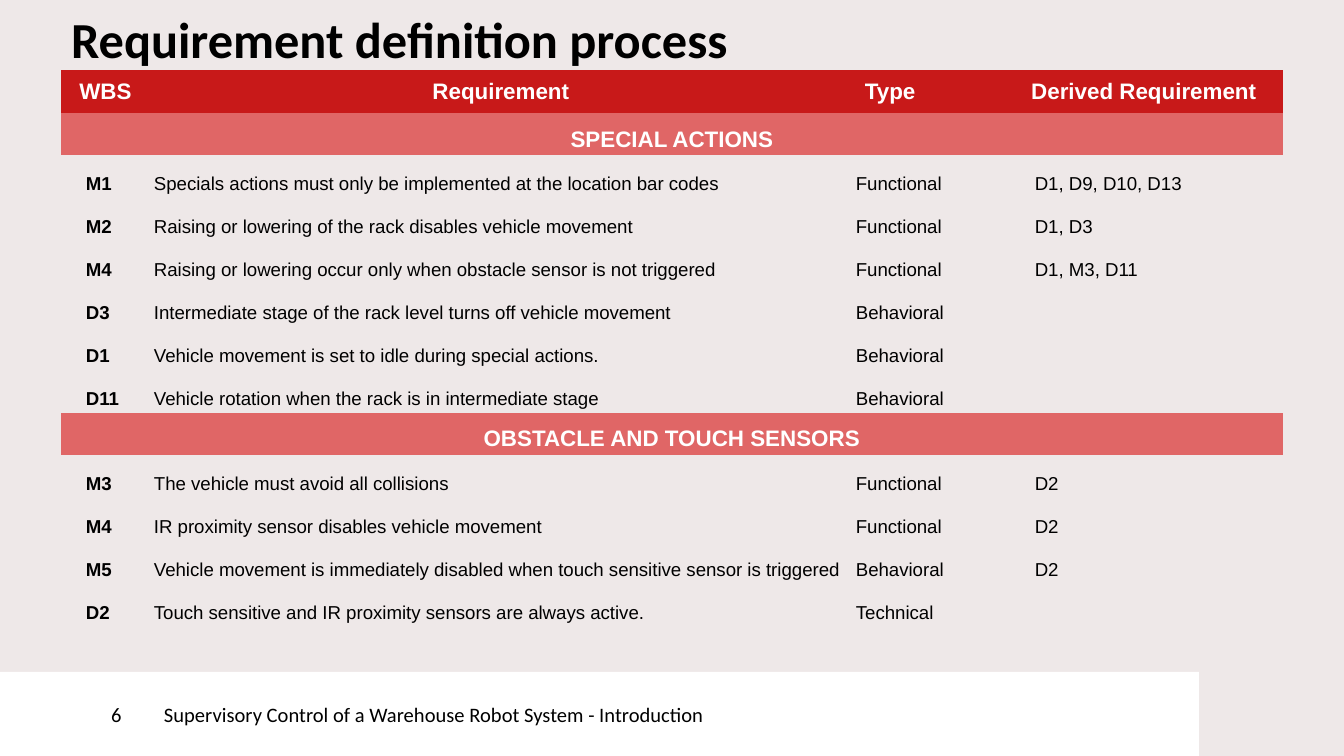
"""Builds the requirement definition slide with its table and footer."""
from lxml import etree
from pptx import Presentation
from pptx.dml.color import RGBColor
from pptx.enum.shapes import MSO_SHAPE
from pptx.enum.text import MSO_ANCHOR, PP_ALIGN
from pptx.oxml.ns import qn
from pptx.util import Emu, Pt

RECTANGLE = MSO_SHAPE.RECTANGLE
LEFT, CENTER = PP_ALIGN.LEFT, PP_ALIGN.CENTER
TOP, MIDDLE, BOTTOM = MSO_ANCHOR.TOP, MSO_ANCHOR.MIDDLE, MSO_ANCHOR.BOTTOM
NO_GRID_STYLE = "{2D5ABB26-0587-4C30-8999-92F81FD0307C}"
EMU_PER_PX = 914400 / 134.4

HEADINGS = [("WBS", CENTER), ("Requirement", CENTER), ("Type", LEFT), ("Derived Requirement", CENTER)]
SECTIONS = {
    "SPECIAL ACTIONS": [
        ("M1", "Specials actions must only be implemented at the location bar codes", "Functional", "D1, D9, D10, D13"),
        ("M2", "Raising or lowering of the rack disables vehicle movement", "Functional", "D1, D3"),
        ("M4", "Raising or lowering occur only when obstacle sensor is not triggered", "Functional", "D1, M3, D11"),
        ("D3", "Intermediate stage of the rack level turns off vehicle movement", "Behavioral", ""),
        ("D1", "Vehicle movement is set to idle during special actions.", "Behavioral", ""),
        ("D11", "Vehicle rotation when the rack is in intermediate stage", "Behavioral", ""),
    ],
    "OBSTACLE AND TOUCH SENSORS": [
        ("M3", "The vehicle must avoid all collisions", "Functional", "D2"),
        ("M4", "IR proximity sensor disables vehicle movement", "Functional", "D2"),
        ("M5", "Vehicle movement is immediately disabled when touch sensitive sensor is triggered", "Behavioral", "D2"),
        ("D2", "Touch sensitive and IR proximity sensors are always active.", "Technical", ""),
    ],
}
COLUMN_WIDTHS = [89, 702, 153, 278]
ITEM_INDENTS = [25, 4, 4, 30]
ROW_HEIGHT, SECTION_HEIGHT = 43, 42


def px(length):
    return Emu(round(length * EMU_PER_PX))


def color(value):
    return RGBColor.from_string(value)


def set_margins(holder, left, top, right, bottom):
    holder.margin_left, holder.margin_top = px(left), px(top)
    holder.margin_right, holder.margin_bottom = px(right), px(bottom)


def write(frame, text, *, font, size, ink="000000", bold=False, align=LEFT, spacing=None):
    paragraph = frame.paragraphs[0]
    paragraph.alignment = align
    if spacing:
        paragraph.line_spacing = spacing
    if not text:
        etree.SubElement(paragraph._p, qn("a:endParaRPr"), sz=str(size * 100))
        return
    run = paragraph.add_run()
    run.text = text
    run.font.name, run.font.size, run.font.bold = font, Pt(size), bold
    run.font.color.rgb = color(ink)


class SlideBuilder:
    heading_font, table_font = "Calibri", "Arial"
    background, footer_fill = "EEE8E8", "FFFFFF"
    header_fill, section_fill, header_ink = "C81919", "E06666", "FFFFFF"

    def __init__(self, slide):
        self.slide = slide
        slide.background.fill.solid()
        slide.background.fill.fore_color.rgb = color(self.background)

    def title(self, text, left, top, width, height):
        frame = self.slide.shapes.add_textbox(px(left), px(top), px(width), px(height)).text_frame
        frame.word_wrap = True
        frame.vertical_anchor = TOP
        set_margins(frame, 0, 0, 0, 0)
        write(frame, text, font=self.heading_font, size=27, bold=True)

    def footer(self, text, left, top, width, height, indent=0):
        panel = self.slide.shapes.add_shape(RECTANGLE, px(left), px(top), px(width), px(height))
        panel.shadow.inherit = False
        panel.fill.solid()
        panel.fill.fore_color.rgb = color(self.footer_fill)
        panel.line.fill.background()
        frame = panel.text_frame
        frame.word_wrap = True
        frame.vertical_anchor = MIDDLE
        set_margins(frame, indent, 0, 0, 0)
        write(frame, text, font=self.heading_font, size=11)

    def cell(self, cell, text, fill=None, anchor=BOTTOM, margins=(4, 3, 4, 3), **text_format):
        if fill:
            cell.fill.solid()
            cell.fill.fore_color.rgb = color(fill)
        else:
            cell.fill.background()
        cell.vertical_anchor = anchor
        set_margins(cell, *margins)
        write(cell.text_frame, text, font=self.table_font, **text_format)

    def requirements(self, headings, sections, left, top):
        heights = [ROW_HEIGHT]
        for items in sections.values():
            heights += [SECTION_HEIGHT] + [ROW_HEIGHT] * len(items)
        table = self.slide.shapes.add_table(
            len(heights), len(COLUMN_WIDTHS), px(left), px(top), px(sum(COLUMN_WIDTHS)), px(sum(heights))
        ).table
        table._tbl.tblPr.find(qn("a:tableStyleId")).text = NO_GRID_STYLE
        table.horz_banding = False
        for column, width in zip(table.columns, COLUMN_WIDTHS):
            column.width = px(width)
        for row, height in zip(table.rows, heights):
            row.height = px(height)

        header_format = {"size": 12, "ink": self.header_ink, "bold": True}
        for column, (heading, align) in enumerate(headings):
            self.cell(table.cell(0, column), heading, self.header_fill, MIDDLE, (13, 7, 13, 7),
                      align=align, **header_format)
        row = 1
        for section, items in sections.items():
            band = table.cell(row, 0)
            band.merge(table.cell(row, len(headings) - 1))
            self.cell(band, section, self.section_fill, align=CENTER, spacing=1.15, **header_format)
            for row, item in enumerate(items, row + 1):
                for column, (text, indent) in enumerate(zip(item, ITEM_INDENTS)):
                    self.cell(table.cell(row, column), text, margins=(indent, 3, 4, 3),
                              size=10, bold=column == 0, spacing=1.15)
            row += 1


def main():
    presentation = Presentation()
    presentation.slide_width, presentation.slide_height = px(1344), px(756)
    builder = SlideBuilder(presentation.slides.add_slide(presentation.slide_layouts[6]))
    builder.title("Requirement definition process", 71, 8, 1111, 75)
    builder.footer("6", 0, 672, 164, 84, indent=111)
    builder.requirements(HEADINGS, SECTIONS, 61, 70)
    builder.footer("Supervisory Control of a Warehouse Robot System - Introduction", 164, 672, 1035, 84)
    presentation.save("out.pptx")


if __name__ == "__main__":
    main()
